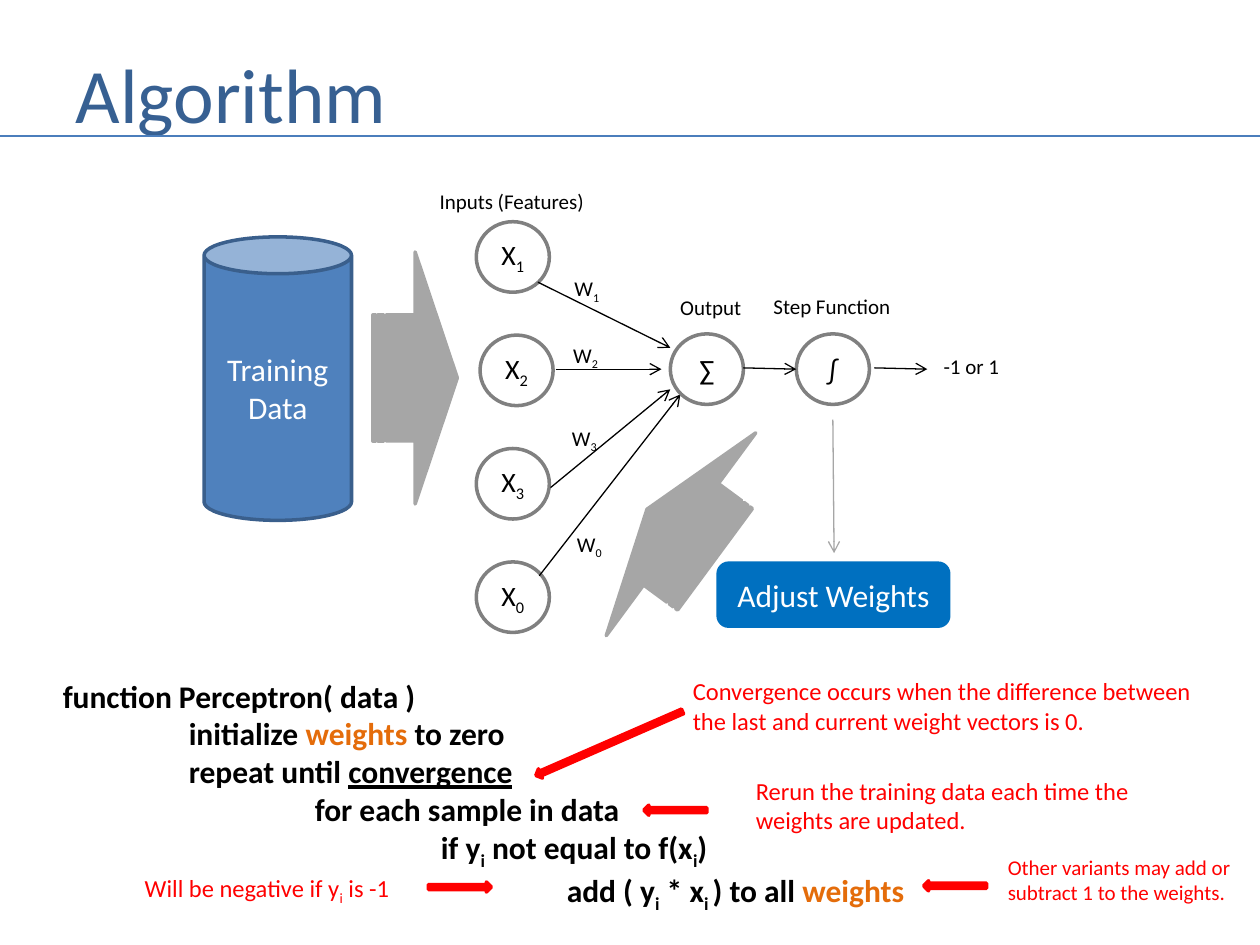
from dataclasses import dataclass

from lxml.etree import SubElement
from pptx import Presentation
from pptx.dml.color import RGBColor
from pptx.enum.shapes import MSO_CONNECTOR as Connector, MSO_SHAPE as Shape
from pptx.enum.text import MSO_ANCHOR as Anchor, PP_ALIGN as Align
from pptx.oxml.ns import qn
from pptx.util import Inches, Pt


@dataclass(frozen=True)
class Theme:
    """Colours and type sizes of the slide."""
    font: str = "Calibri"
    title: str = "376092"
    rule: str = "4B7EBC"
    ink: str = "000000"
    white: str = "FFFFFF"
    node_line: str = "808080"
    grey: str = "A6A6A6"
    can: str = "4F81BD"
    can_line: str = "3A5F8C"
    button: str = "0070C0"
    note: str = "FF0000"
    accent: str = "E46C0A"
    title_size: int = 44
    code_size: int = 18
    node_size: int = 16
    note_size: int = 14
    label_size: int = 12


THEME = Theme()
SUB = {"sub": True}
ACCENT = {"color": THEME.accent}


def rgb(value):
    """Turn a hex string into a colour."""
    return RGBColor.from_string(value)


def add_run(paragraph, text, size, color, bold=False, sub=False, underline=False):
    """Add one formatted run."""
    run = paragraph.add_run()
    run.text = text
    font = run.font
    font.name, font.size, font.color.rgb = THEME.font, Pt(size), rgb(color)
    if bold:
        font.bold = True
    if underline:
        font.underline = True
    if sub:
        run._r.get_or_add_rPr().set("baseline", "-25000")


def write(frame, lines, size, color, align=Align.LEFT, bold=False):
    """Write lines, each a string or a list of strings and (text, style) pairs."""
    for index, line in enumerate(lines):
        paragraph = frame.add_paragraph() if index else frame.paragraphs[0]
        paragraph.alignment = align
        for piece in [line] if isinstance(line, str) else line:
            text, style = (piece, {}) if isinstance(piece, str) else piece
            add_run(paragraph, text, **{"size": size, "color": color, "bold": bold, **style})


def add_text(slide, box, lines, size, color=THEME.ink, wrap=False, bold=False):
    """Add a text box."""
    frame = slide.shapes.add_textbox(*map(Inches, box)).text_frame
    frame.word_wrap = wrap
    write(frame, lines, size, color, bold=bold)
    return frame


def add_block(slide, kind, box, fill, line, lines=(), size=18, color=THEME.white, rotation=0):
    """Add a filled preset shape with optional centred text."""
    shape = slide.shapes.add_shape(kind, *map(Inches, box))
    shape.shadow.inherit = False
    shape.rotation = rotation
    shape.fill.solid()
    shape.fill.fore_color.rgb = rgb(fill)
    shape.line.color.rgb = rgb(line)
    shape.line.width = Pt(2)
    frame = shape.text_frame
    frame.margin_left = frame.margin_right = 0
    frame.vertical_anchor = Anchor.MIDDLE
    write(frame, lines, size, color, Align.CENTER)


def add_node(slide, left, top, text):
    """Add one round network node."""
    add_block(slide, Shape.OVAL, (left, top, 0.58, 0.56), THEME.white, THEME.node_line,
              [text], THEME.node_size, THEME.ink)


def add_line(slide, start, end, color=THEME.ink, width=0.75, arrow=True):
    """Add a straight line, with an open arrowhead at its end if asked."""
    line = slide.shapes.add_connector(Connector.STRAIGHT, *map(Inches, (*start, *end)))
    line.line.color.rgb = rgb(color)
    line.line.width = Pt(width)
    if arrow:
        SubElement(line.line._get_or_add_ln(), qn("a:tailEnd"), type="arrow")
    SubElement(line._element.spPr, qn("a:effectLst"))


def add_title(slide):
    """Place the title and the rule below it."""
    title = slide.shapes.title
    title.left, title.top, title.width, title.height = map(Inches, (0.5, 0.3, 9.08, 0.87))
    title.text_frame.vertical_anchor = Anchor.MIDDLE
    write(title.text_frame, ["Algorithm"], THEME.title_size, THEME.title)
    add_line(slide, (0, 1.08), (10, 1.08), THEME.rule, 1.5, arrow=False)


def add_network(slide):
    """Draw the perceptron: inputs, weights, sum and step function."""
    inputs = [  # index, node left, weight label place, arrow start, arrow end
        ("1", 3.78, (4.46, 2.14), (4.27, 2.24), (5.32, 2.76)),
        ("2", 3.81, (4.45, 2.67), (4.41, 2.93), (5.25, 2.93)),
        ("3", 3.78, (4.44, 3.33), (4.37, 3.87), (5.32, 3.09)),
        ("0", 3.78, (4.48, 4.17), (4.28, 4.57), (5.4, 3.13)),
    ]
    for row, (index, left, label, start, end) in enumerate(inputs):
        add_node(slide, left, 1.76 + 0.9 * row, ["X", (index, SUB)])
        add_line(slide, start, end)
        add_text(slide, (*label, 0.41, 0.3), [["W", (index, SUB)]], THEME.label_size)
    for left, symbol in ((5.32, "∑"), (6.32, "∫")):
        add_node(slide, left, 2.65, symbol)
    for left in (5.9, 6.94):
        add_line(slide, (left, 2.92), (left + 0.42, 2.93))
    for left, top, width, text in (
        (3.39, 1.45, 1.36, "Inputs (Features)"),
        (5.3, 2.29, 0.69, "Output"),
        (6.04, 2.28, 1.14, "Step Function"),
        (7.39, 2.76, 0.65, "-1 or 1"),
    ):
        add_text(slide, (left, top, width, 0.3), [text], THEME.label_size)


def add_training_loop(slide):
    """Draw the data store, the weight update and the broad arrows."""
    add_block(slide, Shape.CAN, (1.62, 1.88, 1.17, 2.25), THEME.can, THEME.can_line,
              ["Training", "Data"])
    add_line(slide, (6.61, 3.33), (6.62, 4.39), THEME.grey)
    add_block(slide, Shape.ROUNDED_RECTANGLE, (5.7, 4.47, 1.83, 0.5), THEME.button,
              THEME.button, ["Adjust Weights"])
    for left, top, rotation in ((2.96, 2, 0), (5.07, 3.24, 216.4)):
        add_block(slide, Shape.STRIPED_RIGHT_ARROW, (left, top, 0.67, 2), THEME.grey,
                  THEME.grey, rotation=rotation)


def add_code(slide):
    """Write the pseudocode, one inch of indent per level."""
    code = [
        (0, ["function Perceptron( data )"]),
        (1, ["initialize ", ("weights", ACCENT), " to zero"]),
        (1, ["repeat until ", ("convergence", {"underline": True})]),
        (2, ["for each sample in data"]),
        (3, ["if y", ("i", SUB), " not equal to f(x", ("i", SUB), ")"]),
        (4, ["add ( y", ("i", SUB), " * x", ("i ", SUB), ") to all ", ("weights", ACCENT)]),
    ]
    frame = add_text(slide, (0.4, 5.32, 7.19, 1.92), [line for _, line in code],
                     THEME.code_size, wrap=True, bold=True)
    for paragraph, (level, _) in zip(frame.paragraphs, code):
        paragraph._p.get_or_add_pPr().set("marL", str(Inches(level)))


def add_notes_in_red(slide):
    """Add the red remarks and the arrows to the code lines."""
    remarks = [
        ((5.4, 5.32, 4.2, 0.57), THEME.note_size,
         ["Convergence occurs when the difference between",
          "the last and current weight vectors is 0."]),
        ((5.9, 6.11, 3.24, 0.57), THEME.note_size,
         ["Rerun the training data each time the", "weights are updated."]),
        ((1.05, 6.88, 2.18, 0.34), THEME.note_size,
         [["Will be negative if y", ("i", SUB), " is -1"]]),
        ((7.9, 6.73, 2.02, 0.5), THEME.label_size,
         ["Other variants may add or", "subtract 1 to the weights."]),
    ]
    for box, size, lines in remarks:
        add_text(slide, box, lines, size, THEME.note)
    for left, top, width, rotation in (
        (4.2, 5.86, 1.27, 336.4), (5.11, 6.39, 0.5, 0), (3.4, 7, 0.5, 180), (7.33, 6.99, 0.5, 0),
    ):
        add_block(slide, Shape.LEFT_ARROW, (left, top, width, 0.08), THEME.note, THEME.note,
                  rotation=rotation)


def main():
    """Build and save the slide."""
    presentation = Presentation()
    presentation.slide_width, presentation.slide_height = Inches(10), Inches(7.5)
    slide = presentation.slides.add_slide(presentation.slide_layouts[5])
    add_title(slide)
    add_network(slide)
    add_training_loop(slide)
    add_code(slide)
    add_notes_in_red(slide)
    presentation.save("out.pptx")


main()
